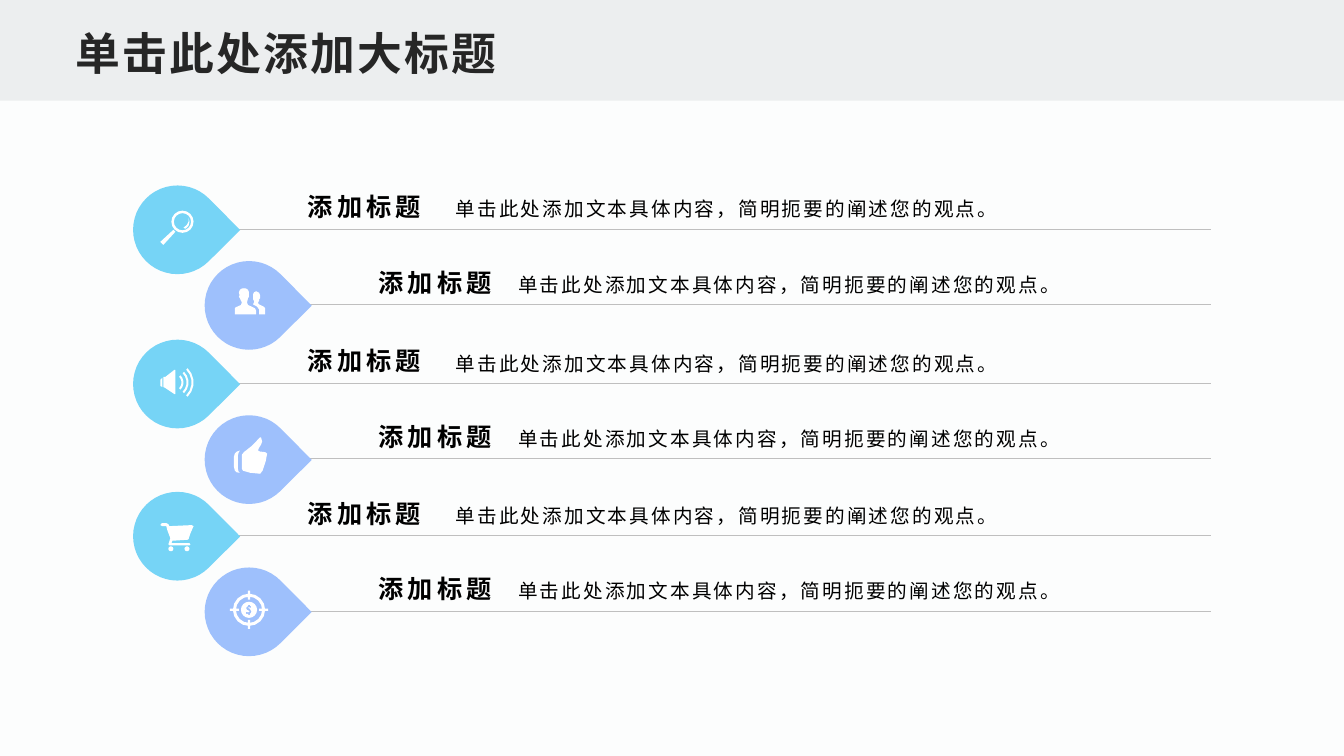
from math import cos, radians, sin

from lxml.etree import SubElement
from pptx import Presentation
from pptx.dml.color import RGBColor
from pptx.enum.lang import MSO_LANGUAGE_ID
from pptx.enum.shapes import MSO_CONNECTOR, MSO_SHAPE
from pptx.enum.text import MSO_ANCHOR, PP_ALIGN
from pptx.oxml.ns import qn
from pptx.util import Inches, Pt

PAPER = RGBColor(0xFC, 0xFD, 0xFD)
BAND = RGBColor(0xEC, 0xEE, 0xEF)
INK = RGBColor(0x26, 0x26, 0x26)
BLACK = RGBColor(0, 0, 0)
WHITE = RGBColor(0xFF, 0xFF, 0xFF)
RULE = RGBColor(0xBF, 0xBF, 0xBF)
SKY = RGBColor(0x76, 0xD4, 0xF6)
LILAC = RGBColor(0x9E, 0xC0, 0xFC)


def arc(x, y, size, start=0, end=360, steps=16):
    """Return points along an arc, in hundredths of an inch."""
    turns = [radians(start + (end - start) * i / steps)
             for i in range(steps + 1)]
    return [(x + size * cos(t), y + size * sin(t)) for t in turns]


def wave(size):
    """Return one sound wave as a thin curved band."""
    return (arc(13, 14.5, size, -45, 45, 5)
            + arc(13, 14.5, size - 2, 45, -45, 5))


def tick(turn, near):
    """Return one short bar of the target's cross."""
    c, s = cos(radians(turn)), sin(radians(turn))
    bar = [(near, -1.2), (near + 3, -1.2), (near + 3, 1.2), (near, 1.2)]
    return [(19 + x * c - y * s, 19 + x * s + y * c) for x, y in bar]


LENS = [
    [(13, 19), (15, 21), (3, 34), (0, 31)],
    arc(22, 11, 11), arc(22, 11, 8.5),
    [(28, 7), (29, 11), (28, 15), (25, 18), (23, 17), (26.5, 14), (28, 11)],
]
PEOPLE = [
    [(16, 18), (13, 16.7), (12, 14), (12.5, 12.3), (13, 10), (14, 8.5),
     (14, 4), (13, 1.5), (11, 0.3), (9, 0), (7, 0.3), (5, 1.5), (4, 4),
     (4.7, 7), (4, 8.5), (5, 10), (6, 12.3), (7, 14), (6, 16.7), (3, 18),
     (0.7, 19), (0, 20), (0, 26), (21, 26), (21, 22), (20, 20)],
    [(30, 26), (30, 20), (29, 18.5), (26, 17), (23.5, 15.7), (23, 14),
     (24, 12.5), (24, 11), (25, 10), (25, 7), (24, 4.5), (21, 3), (19, 4),
     (18, 6), (18, 11), (19, 12.5), (19, 14), (18, 16), (22, 18.2),
     (24, 21), (24, 26)],
]
SOUND = [
    [(2, 10), (2, 19), (0, 18), (0, 12)],
    [(3, 9), (5, 9), (14, 2), (15, 2), (15, 26), (14, 26), (5, 20), (3, 19)],
    wave(10), wave(15), wave(20),
]
THUMB = [
    [(24, 14), (24.5, 12), (27, 8), (28, 5), (27, 1), (26, 0.8), (22, 5),
     (17, 10), (10, 15.5), (8, 18), (8, 32), (9, 34), (16, 36), (26, 37),
     (28.5, 34), (31.5, 25), (33, 17), (31, 15.5), (26, 15)],
    [(6, 14), (3, 15), (1, 17), (0, 20), (0, 30), (1, 34), (3, 35.7),
     (6, 36), (4.5, 34.5), (4, 32), (4, 19), (4.7, 16)],
]
CART = [
    arc(10.5, 25.5, 2.5, steps=10), arc(26.5, 25.5, 2.5, steps=10),
    [(2, 0), (6, 0), (8, 1), (9, 3), (31, 2), (33, 3), (30, 10), (28, 16),
     (27, 16.5), (12, 17.5), (11, 20), (29, 20), (30, 21), (29, 22), (9, 22),
     (8, 21), (10, 15), (7, 7), (6, 3), (2, 3), (0, 2), (1, 0.5)],
]
TARGET = [
    arc(19, 19, 8), arc(19, 19, 13), arc(19, 19, 16),
    [(18, 14), (18, 15), (16, 17), (17, 19), (19, 20), (19.5, 21),
     (18, 21.5), (16, 21), (16, 23), (18, 23), (18, 24), (20, 24), (20, 23),
     (21.5, 21), (20, 18), (18, 17), (19, 16.5), (21, 17), (21, 15.5),
     (20, 15), (20, 14)],
] + [tick(turn, near) for turn in range(0, 360, 90) for near in (10, 16)]

ROWS = [
    (1.84, LENS, 1.59, 2.09), (2.59, PEOPLE, 2.33, 2.86),
    (3.37, SOUND, 1.59, 3.65), (4.12, THUMB, 2.32, 4.33),
    (4.88, CART, 1.59, 5.19), (5.63, TARGET, 2.28, 5.86),
]


class Deck:
    """Holds the style and the current slide."""

    def __init__(self, font):
        self.font = font
        self.file = Presentation()
        self.file.slide_width = Inches(13.33)
        self.file.slide_height = Inches(7.5)
        self.slide = self.file.slides.add_slide(self.file.slide_layouts[6])
        self.slide.background.fill.solid()
        self.slide.background.fill.fore_color.rgb = PAPER
        self.shapes = self.slide.shapes

    def paint(self, shape, color):
        shape.shadow.inherit = False
        shape.fill.solid()
        shape.fill.fore_color.rgb = color
        shape.line.fill.background()

    def shape(self, kind, box, color, turn=0):
        shape = self.shapes.add_shape(kind, *map(Inches, box))
        shape.rotation = turn
        self.paint(shape, color)

    def line(self, left, right, y):
        line = self.shapes.add_connector(
            MSO_CONNECTOR.STRAIGHT, *map(Inches, (left, y, right, y)))
        line.line.color.rgb = RULE
        line.line.width = Pt(0.25)
        SubElement(line._element.spPr, qn("a:effectLst"))

    def icon(self, left, top, outlines):
        pen = None
        for outline in outlines:
            first, *rest = [(x * 100, y * 100) for x, y in outline]
            if pen is None:
                pen = self.shapes.build_freeform(*first, Inches(1) / 10000)
            else:
                pen.move_to(*first)
            pen.add_line_segments(rest)
        self.paint(pen.convert_to_shape(Inches(left), Inches(top)), WHITE)

    def text(self, words, box, size, gap, color=BLACK, bold=False,
             align=PP_ALIGN.LEFT, anchor=MSO_ANCHOR.MIDDLE, lead=1.0):
        frame = self.shapes.add_textbox(*map(Inches, box)).text_frame
        frame.word_wrap = True
        frame.vertical_anchor = anchor
        frame.text = words
        part = frame.paragraphs[0]
        part.alignment = align
        part.line_spacing = lead
        for run in part.runs:
            run.font.name = self.font
            run.font.size = Pt(size)
            run.font.bold = bold
            run.font.color.rgb = color
            run.font.language_id = MSO_LANGUAGE_ID.SIMPLIFIED_CHINESE
            run._r.get_or_add_rPr().set("spc", str(int(gap * 100)))
        return frame


def main():
    deck = Deck("Arial")
    deck.shape(MSO_SHAPE.RECTANGLE, (0, 0, 13.33, 1), BAND)
    head = deck.text("单击此处添加大标题", (0.67, 0.16, 12, 0.67), 32, 1.5,
                     INK, True, anchor=MSO_ANCHOR.BOTTOM)
    head.margin_left = head.margin_right = Inches(0.08)
    head.margin_top = head.margin_bottom = Inches(0.04)
    for i, (top, *_) in enumerate(ROWS):
        deck.line((1.34, 2.04)[i % 2], 12.01, top + 0.43)
    for i, (top, art, left, peak) in enumerate(ROWS):
        odd = i % 2
        deck.shape(MSO_SHAPE.TEAR, (1.32 + 0.71 * odd, top, 0.88, 0.88),
                   (SKY, LILAC)[odd], 45.2)
        deck.icon(left, peak, art)
        deck.text("单击此处添加文本具体内容，简明扼要的阐述您的观点。",
                  (4.42 + 0.62 * odd, top, 6.9, 0.42), 14, 1.5, lead=1.2)
        deck.text("添加标题", (2.85 + 0.7 * odd, top, 1.53, 0.42), 18, 3,
                  bold=True, align=PP_ALIGN.CENTER)
    deck.file.save("out.pptx")


if __name__ == "__main__":
    main()
